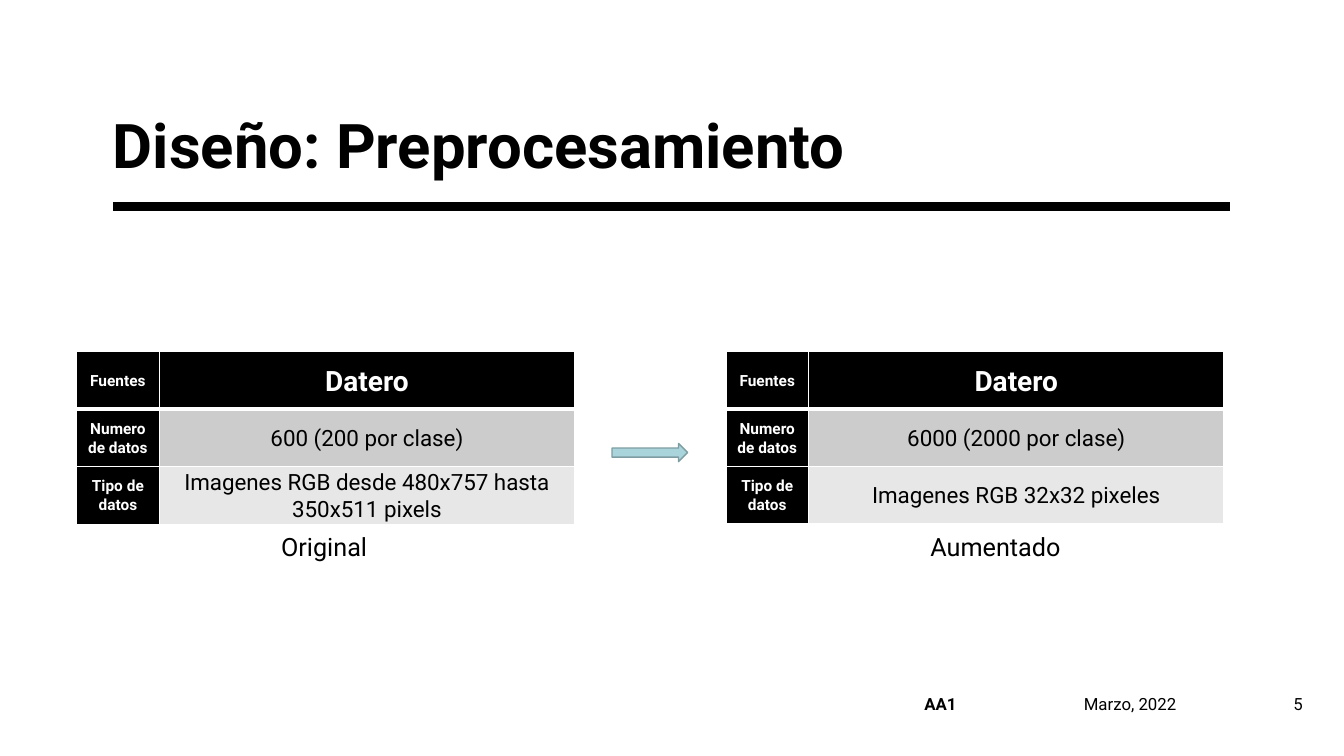
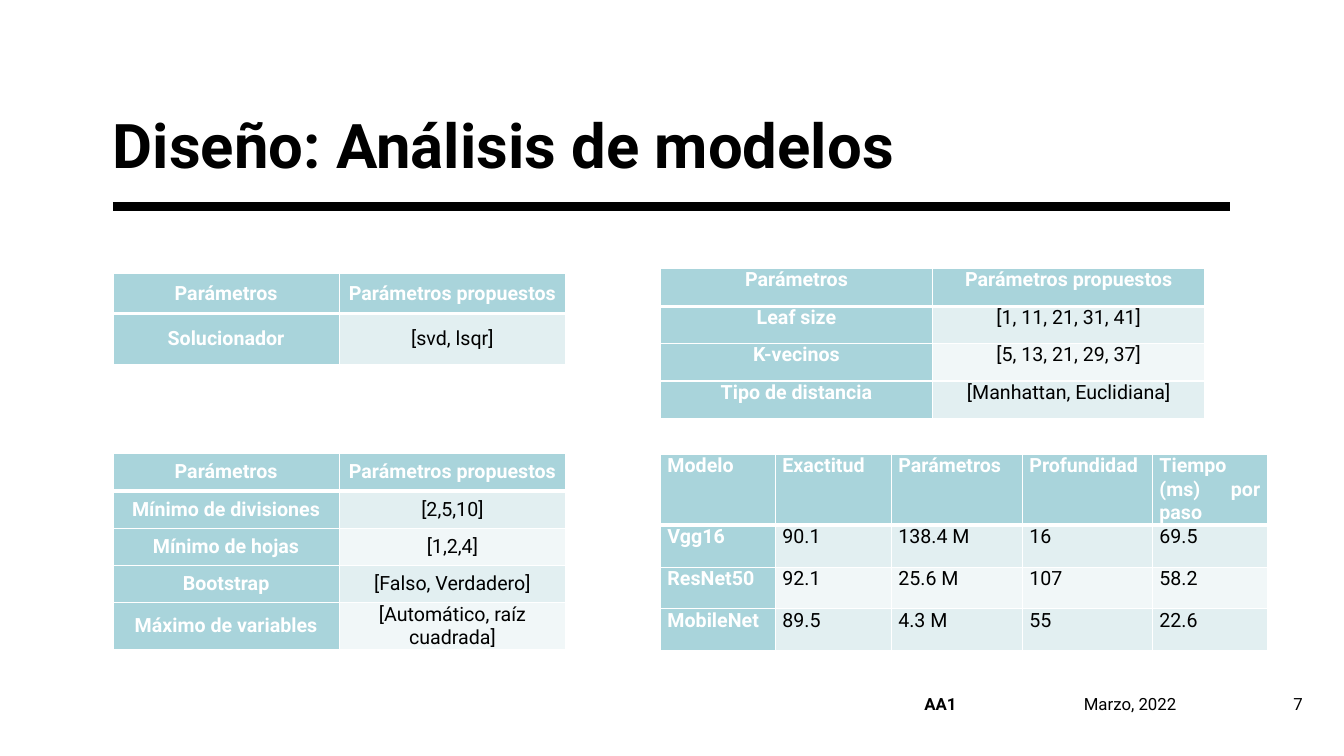
from dataclasses import dataclass
from lxml.etree import SubElement
from pptx import Presentation
from pptx.dml.color import RGBColor
from pptx.enum.shapes import MSO_CONNECTOR, MSO_SHAPE
from pptx.enum.text import MSO_ANCHOR, MSO_AUTO_SIZE, PP_ALIGN
from pptx.oxml.ns import qn
from pptx.util import Inches, Pt

FONT = "Roboto"
COLORS = {
    "white": "FFFFFF",
    "black": "000000",
    "gray": "CCCCCC",
    "light_gray": "E7E7E7",
    "teal": "A9D4DB",
    "teal_line": "7D9DA2",
    "pale_teal": "E2EFF1",
    "paler_teal": "F1F7F8",
}


@dataclass
class TableStyle:
    head: str
    bands: tuple
    corner_size: int = 14
    head_size: int = 14
    side_size: int = 14
    body_size: int = 14
    align: PP_ALIGN = PP_ALIGN.CENTER
    anchor: MSO_ANCHOR = MSO_ANCHOR.MIDDLE
    before: int = 6
    after: int = 0
    spacing: float = 1.0

    def size(self, row, col):
        if row == 0:
            return self.head_size if col else self.corner_size
        return self.body_size if col else self.side_size


TEAL_BANDS = ("pale_teal", "paler_teal")
SOURCES = TableStyle("black", ("gray", "light_gray"), corner_size=11, head_size=20,
                     side_size=11, body_size=16, before=0, after=8, spacing=1.07)
PARAMETERS = TableStyle("teal", TEAL_BANDS)
PARAMETERS_TOP = TableStyle("teal", TEAL_BANDS, anchor=MSO_ANCHOR.TOP)
MODELS = TableStyle("teal", TEAL_BANDS, align=PP_ALIGN.JUSTIFY, anchor=MSO_ANCHOR.TOP)


def rgb(name):
    return RGBColor.from_string(COLORS[name])


def set_font(p, size, color="black", bold=False):
    p.font.name = FONT
    p.font.size = Pt(size)
    p.font.bold = bold
    p.font.color.rgb = rgb(color)


def set_margins(target, x, y):
    target.margin_left = target.margin_right = Inches(x)
    target.margin_top = target.margin_bottom = Inches(y)


def add_text(s, box, text, size, bold=False, align=PP_ALIGN.LEFT,
             anchor=MSO_ANCHOR.MIDDLE, inset=0.1):
    sp = s.shapes.add_textbox(*map(Inches, box))
    tf = sp.text_frame
    tf.word_wrap = True
    tf.vertical_anchor = anchor
    set_margins(tf, inset, 0.05)
    p = tf.paragraphs[0]
    p.text = text
    p.alignment = align
    set_font(p, size, bold=bold)


def add_title(s, box, text):
    left, top, width, height = box
    sp = s.shapes.title
    sp.left, sp.top, sp.width, sp.height = map(Inches, box)
    tf = sp.text_frame
    tf.text = text
    tf.word_wrap = True
    tf.auto_size = MSO_AUTO_SIZE.NONE
    tf.vertical_anchor = MSO_ANCHOR.BOTTOM
    set_margins(tf, 0, 0)
    p = tf.paragraphs[0]
    p.alignment = PP_ALIGN.LEFT
    p.line_spacing = 0.9
    set_font(p, 44, bold=True)

    y = Inches(top + height + 0.25)
    rule = s.shapes.add_connector(MSO_CONNECTOR.STRAIGHT, Inches(left), y,
                                  Inches(left + 11.08), y)
    rule.line.width = Pt(6)
    rule.line.color.rgb = rgb("black")
    SubElement(rule._element.spPr, qn("a:effectLst"))


def add_footer(s, left, top, number):
    add_text(s, (left, top, 1.6, 0.2), "AA1", 12, bold=True)
    add_text(s, (left + 1.68, top, 1.67, 0.2), "Marzo, 2022", 12, inset=0)
    add_text(s, (left + 3.5, top, 0.45, 0.2), str(number), 12, align=PP_ALIGN.RIGHT)


def add_slide(prs, title, number):
    s = prs.slides.add_slide(prs.slide_layouts[5])
    add_title(s, (1.12, 1.09, 8.54, 0.71), title)
    add_footer(s, 9.07, 6.88, number)
    return s


def set_borders(cell, bottom):
    tcPr = cell._tc.get_or_add_tcPr()
    for side, width in (("L", 1), ("R", 1), ("T", 1), ("B", bottom)):
        ln = SubElement(tcPr, qn(f"a:ln{side}"), w=str(Pt(width)))
        fill = SubElement(ln, qn("a:solidFill"))
        SubElement(fill, qn("a:srgbClr"), val=COLORS["white"])


def add_grid(s, left, top, cols, heights, rows, style):
    box = (left, top, sum(cols), sum(heights))
    table = s.shapes.add_table(len(rows), len(cols), *map(Inches, box)).table
    table.horz_banding = table.first_row = False
    for column, width in zip(table.columns, cols):
        column.width = Inches(width)
    for r, (height, values) in enumerate(zip(heights, rows)):
        table.rows[r].height = Inches(height)
        for c, value in enumerate(values):
            cell = table.cell(r, c)
            is_head = r == 0 or c == 0
            set_borders(cell, 1 if r else 3)
            cell.fill.solid()
            cell.fill.fore_color.rgb = rgb(style.head if is_head else style.bands[(r - 1) % 2])
            cell.vertical_anchor = style.anchor
            set_margins(cell, 0.07, 0)
            p = cell.text_frame.paragraphs[0]
            p.text = value
            p.alignment = style.align
            p.space_before = Pt(style.before)
            p.space_after = Pt(style.after)
            p.line_spacing = style.spacing
            set_font(p, style.size(r, c), "white" if is_head else "black", is_head)


def add_dataset(s, left, top, count, kind, caption, caption_width):
    rows = [("Fuentes", "Datero"), ("Numero de datos", count), ("Tipo de datos", kind)]
    add_grid(s, left, top, [0.82, 4.12], [0.57] * 3, rows, SOURCES)
    add_text(s, (left + 1.93, top + 1.73, caption_width, 0.4), caption, 18,
             anchor=MSO_ANCHOR.TOP)


def add_arrow(s, box):
    sp = s.shapes.add_shape(MSO_SHAPE.RIGHT_ARROW, *map(Inches, box))
    sp.shadow.inherit = False
    sp.fill.solid()
    sp.fill.fore_color.rgb = rgb("teal")
    sp.line.color.rgb = rgb("teal_line")
    sp.line.width = Pt(1)


def add_parameters(s, left, top, width, heights, rows, style):
    header = ("Parámetros", "Parámetros propuestos")
    add_grid(s, left, top, [width / 2] * 2, heights, [header, *rows], style)


def build_preprocessing(prs):
    s = add_slide(prs, "Diseño: Preprocesamiento", 5)
    add_dataset(s, 0.76, 3.49, "600 (200 por clase)",
                "Imagenes RGB desde 480x757 hasta 350x511 pixels", "Original", 1.07)
    add_dataset(s, 7.2, 3.49, "6000 (2000 por clase)",
                "Imagenes RGB 32x32 pixeles", "Aumentado", 1.6)
    add_arrow(s, (6.07, 4.4, 0.75, 0.18))


def build_models(prs):
    s = add_slide(prs, "Diseño: Análisis de modelos", 7)
    left, right = 1.12, 6.55
    add_parameters(s, left, 2.71, 4.49, [0.4, 0.51],
                   [("Solucionador", "[svd, lsqr]")], PARAMETERS)
    add_parameters(s, right, 2.66, 5.4, [0.38] + [0.37] * 3, [
        ("Leaf size", "[1, 11, 21, 31, 41]"),
        ("K-vecinos", "[5, 13, 21, 29, 37]"),
        ("Tipo de distancia", "[Manhattan, Euclidiana]"),
    ], PARAMETERS_TOP)
    add_parameters(s, left, 4.5, 4.49, [0.37] * 5, [
        ("Mínimo de divisiones", "[2,5,10]"),
        ("Mínimo de hojas", "[1,2,4]"),
        ("Bootstrap", "[Falso, Verdadero]"),
        ("Máximo de variables", "[Automático, raíz cuadrada]"),
    ], PARAMETERS)
    add_grid(s, right, 4.51, [1.14, 1.15, 1.3, 1.29, 1.14], [0.62, 0.42, 0.41, 0.41], [
        ("Modelo", "Exactitud", "Parámetros", "Profundidad", "Tiempo (ms) por paso"),
        ("Vgg16", "90.1", "138.4 M", "16", "69.5"),
        ("ResNet50", "92.1", "25.6 M", "107", "58.2"),
        ("MobileNet", "89.5", "4.3 M", "55", "22.6"),
    ], MODELS)


prs = Presentation()
prs.slide_width = Inches(13.33)
prs.slide_height = Inches(7.5)
build_preprocessing(prs)
build_models(prs)
prs.save("out.pptx")
